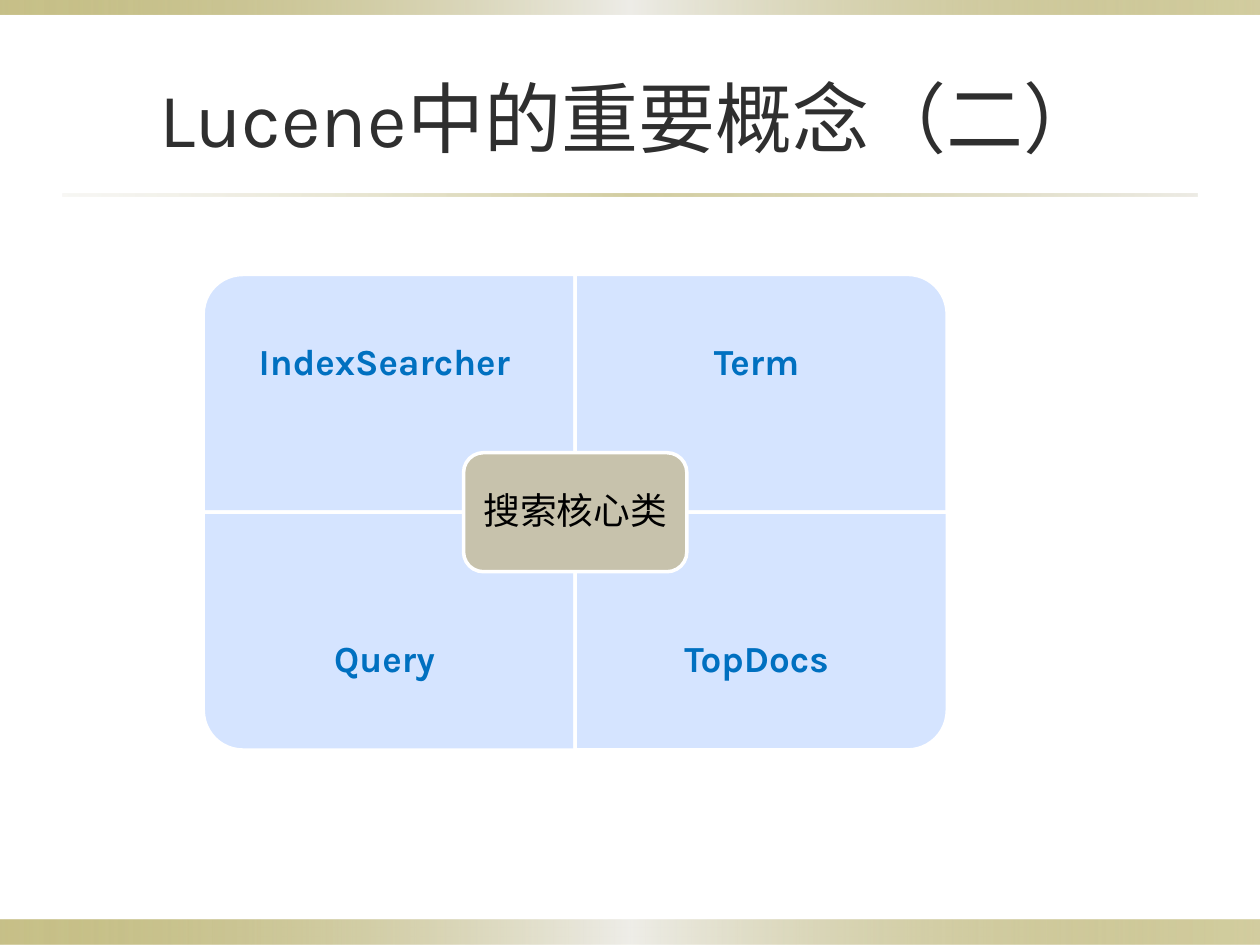
from dataclasses import dataclass

from lxml.etree import SubElement
from pptx import Presentation
from pptx.dml.color import RGBColor
from pptx.enum.shapes import MSO_SHAPE as Shape
from pptx.enum.text import MSO_ANCHOR as Anchor, MSO_AUTO_SIZE as AutoSize, PP_ALIGN as Align
from pptx.oxml.ns import qn
from pptx.util import Pt

PAGE_WIDTH, PAGE_HEIGHT = 720, 540
GRID_LEFT, GRID_TOP = 116.1, 156.8
TILE_WIDTH, TILE_HEIGHT = 212.6, 135.9
LABEL_HEIGHT = 102
HUB_WIDTH, HUB_HEIGHT = 127.6, 68


@dataclass
class Band:
    left: float
    top: float
    width: float
    height: float
    stops: list[tuple[int, str, int]]  # position %, colour, opacity %


@dataclass
class Tile:
    label: str
    column: int
    row: int
    rotation: int  # turns the rounded corner to the outside


EDGE_STOPS = [(0, "918415", 50), (50, "EEEDE8", 100), (100, "918415", 40)]
RULE_STOPS = [(0, "DCD9CC", 20), (50, "918415", 40), (100, "DCD9CC", 50)]
BANDS = [
    Band(0, 525.5, PAGE_WIDTH, 14.5, EDGE_STOPS),
    Band(0, 0, PAGE_WIDTH, 8.5, EDGE_STOPS),
    Band(36, 110.8, 648, 1.5, RULE_STOPS),
]
TILES = [
    Tile("IndexSearcher ", 0, 0, 270),
    Tile("Term ", 1, 0, 0),
    Tile("Query ", 0, 1, 180),
    Tile("TopDocs ", 1, 1, 90),
]
LABEL_FORMAT = {"name": "Karla", "size": Pt(21), "bold": True}
HUB_FORMAT = {"name": "Karla", "size": Pt(21), "bold": False}
TITLE_FORMAT = {"name": "Karla", "size": Pt(44), "bold": False}


def paint(color_format, color: str) -> None:
    color_format.rgb = RGBColor.from_string(color)


def set_opacity(color_element, percent: int) -> None:
    SubElement(color_element, qn("a:alpha"), val=str(percent * 1000))


def write_text(box, text: str, color: str, font: dict, inset: float, spacing: float = 1) -> None:
    frame = box.text_frame
    frame.text = text
    settings = {"word_wrap": True, "auto_size": AutoSize.NONE, "vertical_anchor": Anchor.MIDDLE}
    settings |= {f"margin_{side}": Pt(inset) for side in ("left", "top", "right", "bottom")}
    for name, value in settings.items():
        setattr(frame, name, value)
    para = frame.paragraphs[0]
    para.alignment = Align.CENTER
    para.line_spacing = spacing
    span = para.runs[0]
    for name, value in font.items():
        setattr(span.font, name, value)
    paint(span.font.color, color)


def add_plain_shape(page, kind, left: float, top: float, width: float, height: float):
    """Add a preset shape without a shadow or an outline."""
    shape = page.shapes.add_shape(kind, Pt(left), Pt(top), Pt(width), Pt(height))
    shape.shadow.inherit = False
    shape.line.fill.background()
    return shape


def fill_and_outline(shape, color: str) -> None:
    shape.fill.solid()
    paint(shape.fill.fore_color, color)
    paint(shape.line.color, "FFFFFF")
    shape.line.width = Pt(2)


def draw_band(page, band: Band) -> None:
    shape = add_plain_shape(page, Shape.RECTANGLE, band.left, band.top, band.width, band.height)
    shape.fill.gradient()
    shape.fill.gradient_angle = 0
    stop_list = shape.element.spPr.find(qn("a:gradFill")).find(qn("a:gsLst"))
    for old_stop in list(stop_list):
        stop_list.remove(old_stop)
    for position, color, opacity in band.stops:
        stop = SubElement(stop_list, qn("a:gs"), pos=str(position * 1000))
        set_opacity(SubElement(stop, qn("a:srgbClr"), val=color), opacity)


def draw_tile(page, tile: Tile) -> None:
    left = GRID_LEFT + tile.column * TILE_WIDTH
    top = GRID_TOP + tile.row * TILE_HEIGHT
    width, height = TILE_WIDTH, TILE_HEIGHT
    if tile.rotation % 180:
        width, height = height, width
    shape = add_plain_shape(
        page, Shape.ROUND_1_RECTANGLE,
        left + (TILE_WIDTH - width) / 2, top + (TILE_HEIGHT - height) / 2, width, height,
    )
    shape.rotation = tile.rotation
    fill_and_outline(shape, "A3C4FF")
    set_opacity(shape.element.spPr.find(qn("a:solidFill"))[0], 45)

    label_top = top + tile.row * (TILE_HEIGHT - LABEL_HEIGHT)
    box = page.shapes.add_textbox(Pt(left), Pt(label_top), Pt(TILE_WIDTH), Pt(LABEL_HEIGHT))
    write_text(box, tile.label, "0070C0", LABEL_FORMAT, inset=11.5, spacing=0.9)


def draw_hub(page) -> None:
    shape = add_plain_shape(
        page, Shape.ROUNDED_RECTANGLE,
        GRID_LEFT + TILE_WIDTH - HUB_WIDTH / 2, GRID_TOP + TILE_HEIGHT - HUB_HEIGHT / 2,
        HUB_WIDTH, HUB_HEIGHT,
    )
    fill_and_outline(shape, "C7C2AC")
    write_text(shape, "搜索核心类", "000000", HUB_FORMAT, inset=4, spacing=0.9)


def place_title(page) -> None:
    title = page.shapes.title
    bounds = {"left": 36, "top": 21.6, "width": 648, "height": 90}
    for name, value in bounds.items():
        setattr(title, name, Pt(value))
    write_text(title, "Lucene中的重要概念（二）", "2F2F2F", TITLE_FORMAT, inset=4)


def main() -> None:
    deck = Presentation()
    deck.slide_width, deck.slide_height = Pt(PAGE_WIDTH), Pt(PAGE_HEIGHT)
    page = deck.slides.add_slide(deck.slide_layouts.get_by_name("Title Only"))
    for band in BANDS:
        draw_band(page, band)
    for tile in TILES:
        draw_tile(page, tile)
    draw_hub(page)
    place_title(page)
    deck.save("out.pptx")


if __name__ == "__main__":
    main()
